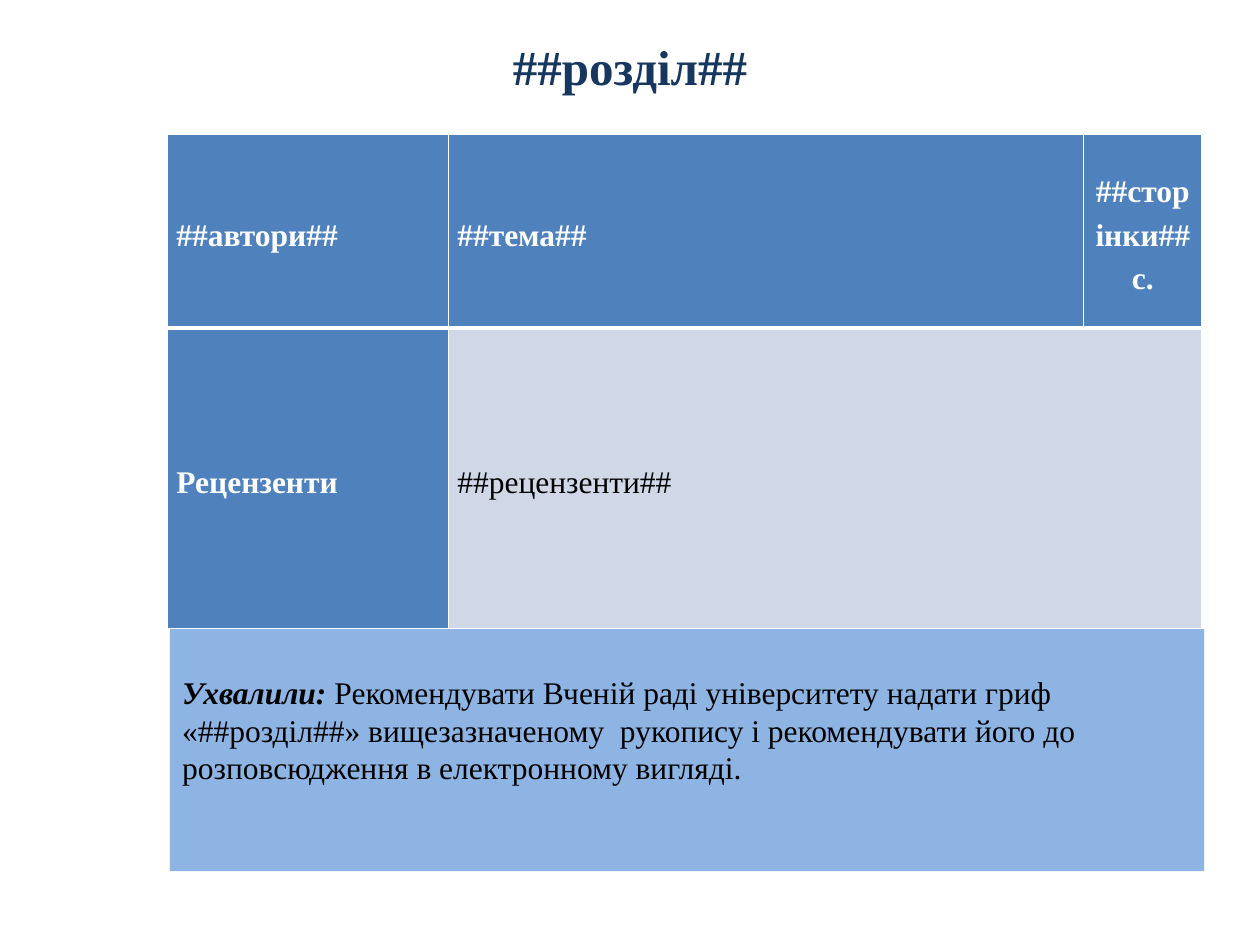
from lxml.etree import SubElement
from pptx import Presentation
from pptx.dml.color import RGBColor
from pptx.enum.shapes import MSO_SHAPE as Shape
from pptx.enum.text import MSO_ANCHOR as Anchor, PP_ALIGN as Align
from pptx.oxml.ns import qn
from pptx.util import Pt

# Content
TITLE = "##розділ##"
HEAD = [("##автори##", Align.LEFT), ("##тема##", Align.JUSTIFY),
        ("##сторінки## с.", Align.CENTER)]
BODY = [("Рецензенти", Align.JUSTIFY), ("##рецензенти##", Align.JUSTIFY)]
LEAD = "Ухвалили: "
TEXT = ("Рекомендувати Вченій раді університету надати гриф «##розділ##» "
        "вищезазначеному  рукопису і рекомендувати його до "
        "розповсюдження в електронному вигляді.")

# Colours and measures
WHITE = RGBColor(0xFF, 0xFF, 0xFF)
BLACK = RGBColor(0, 0, 0)
NAVY = RGBColor(0x17, 0x37, 0x5E)
BLUE = RGBColor(0x4F, 0x81, 0xBD)
PALE = RGBColor(0xD0, 0xD8, 0xE8)
SKY = RGBColor(0x8E, 0xB4, 0xE3)
FONT = "Times New Roman"
COLS = [160.56, 362.88, 67.68]
ROWS = [110.5, 172]
LEFT, TOP = 95.8, 77


def style(run, color, size=18, bold=False, italic=False):
    form = {"name": FONT, "size": Pt(size), "bold": bold, "italic": italic}
    for key, value in form.items():
        setattr(run.font, key, value)
    run.font.color.rgb = color


def edge(cell, base):
    props = cell._tc.get_or_add_tcPr()
    widths = {"a:lnL": 1, "a:lnR": 1, "a:lnT": 1, "a:lnB": base}
    for spot, (tag, width) in enumerate(widths.items()):
        line = SubElement(props, qn(tag), w=str(Pt(width)))
        fill = SubElement(line, qn("a:solidFill"))
        SubElement(fill, qn("a:srgbClr"), val=str(WHITE))
        props.insert(spot, line)


def fill_cell(cell, text, align, back, color, bold, base):
    form = {"margin_left": Pt(5), "margin_right": Pt(5), "margin_top": 0,
            "margin_bottom": 0, "vertical_anchor": Anchor.MIDDLE}
    for key, value in form.items():
        setattr(cell, key, value)
    cell.fill.solid()
    cell.fill.fore_color.rgb = back
    edge(cell, base)
    para = cell.text_frame.paragraphs[0]
    para.alignment, para.line_spacing = align, 1.25
    run = para.add_run()
    run.text = text
    style(run, color, bold=bold)


deck = Presentation()
deck.slide_width, deck.slide_height = Pt(720), Pt(540)
slide = deck.slides.add_slide(deck.slide_layouts[5])

# Title
title = slide.shapes.title
title.left, title.top, title.width, title.height = map(Pt, (239, 17.3, 242, 41))
para = title.text_frame.paragraphs[0]
para.alignment = Align.CENTER
run = para.add_run()
run.text = TITLE
style(run, NAVY, 28, True)

# Table
table = slide.shapes.add_table(len(ROWS), len(COLS), Pt(LEFT), Pt(TOP),
                               Pt(sum(COLS)), Pt(sum(ROWS))).table
for col, width in zip(table.columns, COLS):
    col.width = Pt(width)
for row, height in zip(table.rows, ROWS):
    row.height = Pt(height)
table.cell(1, 1).merge(table.cell(1, 2))
for c, (text, align) in enumerate(HEAD):
    fill_cell(table.cell(0, c), text, align, BLUE, WHITE, True, 3)
for c, (text, align) in enumerate(BODY):
    back, color = [(BLUE, WHITE), (PALE, BLACK)][c]
    fill_cell(table.cell(1, c), text, align, back, color, c == 0, 1)

# Decision panel
panel = slide.shapes.add_shape(Shape.RECTANGLE, Pt(LEFT + 1.2),
                               Pt(TOP + sum(ROWS)), Pt(sum(COLS)), Pt(138.3))
panel.shadow.inherit = False
panel.fill.solid()
panel.fill.fore_color.rgb = SKY
panel.line.fill.background()
frame = panel.text_frame
frame.word_wrap, frame.vertical_anchor = True, Anchor.TOP
frame.margin_top = Pt(25)
para = frame.paragraphs[0]
para.alignment = Align.LEFT
for text, strong in [(LEAD, True), (TEXT, False)]:
    run = para.add_run()
    run.text = text
    style(run, BLACK, bold=strong, italic=strong)

deck.save("out.pptx")
